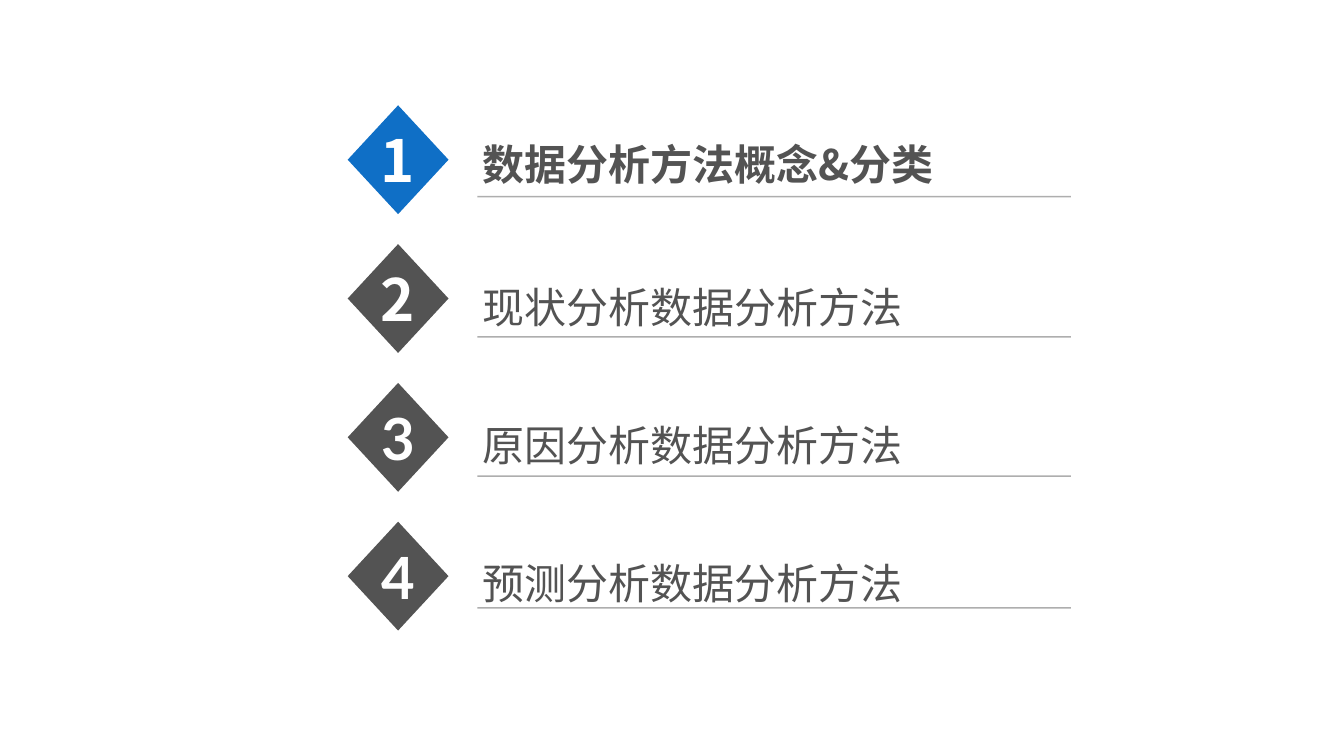
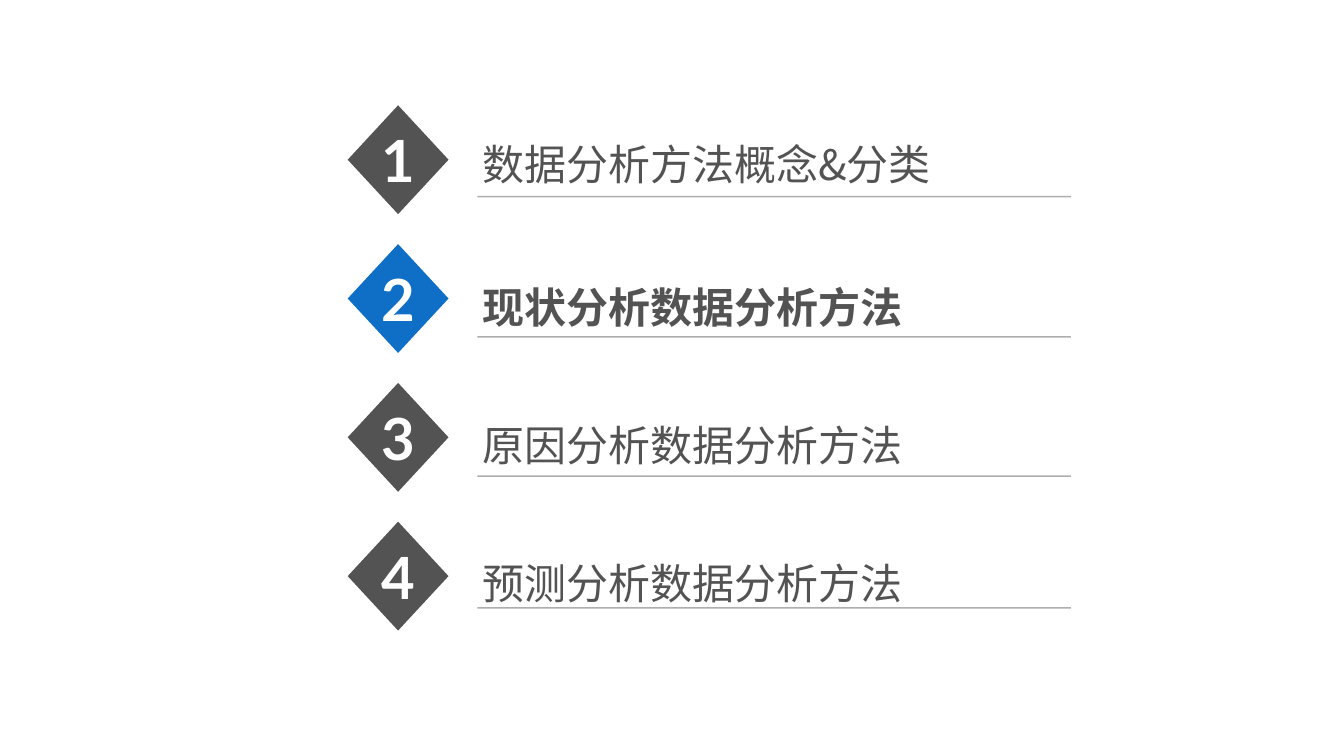
from dataclasses import dataclass

import lxml.etree
import pptx
import pptx.dml.color
import pptx.enum.dml
import pptx.enum.shapes
import pptx.enum.text
import pptx.oxml.ns
import pptx.util
from pptx.shapes.group import GroupShape
from pptx.slide import Slide
from pptx.text.text import TextFrame


@dataclass(frozen=True)
class Theme:
    accent: str = "0F6FC6"
    dark: str = "535353"
    rule: str = "5E5E5E"
    white: str = "FFFFFF"
    cjk_font: str = "Noto Sans CJK JP"
    number_font: str = "Lato"
    label_size: int = 60
    number_size: int = 83
    rule_width: int = 2
    rule_alpha: int = 50
    inset: float = 0.1


@dataclass(frozen=True)
class Chapter:
    title: str
    label_drop: float
    rule_drop: float


@dataclass(frozen=True)
class Agenda:
    current: int
    number_fonts: tuple[str, ...]


THEME = Theme()
WIDTH = pptx.util.Inches(26.67)
HEIGHT = pptx.util.Inches(15)

FIRST_ROW, ROW_PITCH = 13.93, 18.36
DIAMOND_LEFT, DIAMOND_WIDTH, DIAMOND_HEIGHT = 25.87, 7.5, 14.4
LABEL_LEFT, LABEL_WIDTH, LABEL_HEIGHT = 35.51, 44.09, 8.07
RULE_WIDTH = 44.17

CHAPTERS = (
    Chapter("数据分析方法概念&分类", 3.73, 12.07),
    Chapter("现状分析数据分析方法", 4.27, 12.27),
    Chapter("原因分析数据分析方法", 4.13, 12.33),
    Chapter("预测分析数据分析方法", 4.0, 11.4),
)
CJK, NUMERIC = THEME.cjk_font, THEME.number_font
AGENDAS = (
    Agenda(1, (CJK, CJK, NUMERIC, NUMERIC)),
    Agenda(2, (NUMERIC,) * 4),
)


def across(percent: float) -> int:
    return round(WIDTH * percent / 100)


def down(percent: float) -> int:
    return round(HEIGHT * percent / 100)


def rgb(value: str) -> pptx.dml.color.RGBColor:
    return pptx.dml.color.RGBColor.from_string(value)


def write(frame: TextFrame, text: str, size: int, face: str, color: str,
          bold: bool, align: pptx.enum.text.PP_ALIGN) -> None:
    inset = pptx.util.Inches(THEME.inset)
    frame.margin_left = frame.margin_right = inset
    frame.margin_top = frame.margin_bottom = inset
    frame.word_wrap = True
    para = frame.paragraphs[0]
    para.text = text
    para.alignment = align
    font = para.font
    font.size = pptx.util.Pt(size)
    font.bold = bold
    font.color.rgb = rgb(color)
    font.name = face
    defaults = para._p.pPr.find(pptx.oxml.ns.qn("a:defRPr"))
    lxml.etree.SubElement(defaults, pptx.oxml.ns.qn("a:ea"), typeface=face)


def draw_label(group: GroupShape, chapter: Chapter, top: float, bold: bool) -> None:
    box = group.shapes.add_textbox(
        across(LABEL_LEFT), down(top + chapter.label_drop),
        across(LABEL_WIDTH), down(LABEL_HEIGHT))
    write(box.text_frame, chapter.title, THEME.label_size, THEME.cjk_font,
          THEME.dark, bold, pptx.enum.text.PP_ALIGN.LEFT)
    box.text_frame.auto_size = pptx.enum.text.MSO_AUTO_SIZE.SHAPE_TO_FIT_TEXT


def draw_diamond(group: GroupShape, number: int, top: float, fill: str, face: str) -> None:
    diamond = group.shapes.add_shape(
        pptx.enum.shapes.MSO_SHAPE.DIAMOND, across(DIAMOND_LEFT), down(top),
        across(DIAMOND_WIDTH), down(DIAMOND_HEIGHT))
    diamond.shadow.inherit = False
    diamond.fill.solid()
    diamond.fill.fore_color.rgb = rgb(fill)
    diamond.line.fill.background()
    diamond.text_frame.vertical_anchor = pptx.enum.text.MSO_ANCHOR.MIDDLE
    write(diamond.text_frame, str(number), THEME.number_size, face,
          THEME.white, True, pptx.enum.text.PP_ALIGN.CENTER)


def draw_rule(group: GroupShape, top: float) -> None:
    rule = group.shapes.add_connector(
        pptx.enum.shapes.MSO_CONNECTOR.STRAIGHT, across(LABEL_LEFT), down(top),
        across(LABEL_LEFT + RULE_WIDTH), down(top))
    rule.line.width = pptx.util.Pt(THEME.rule_width)
    rule.line.dash_style = pptx.enum.dml.MSO_LINE.SOLID
    rule.line.color.rgb = rgb(THEME.rule)
    properties = rule._element.spPr
    color = properties.find(".//" + pptx.oxml.ns.qn("a:srgbClr"))
    lxml.etree.SubElement(color, pptx.oxml.ns.qn("a:alpha"),
                          val=str(THEME.rule_alpha * 1000))
    lxml.etree.SubElement(properties, pptx.oxml.ns.qn("a:effectLst"))


def draw_agenda(page: Slide, agenda: Agenda) -> None:
    page.background.fill.solid()
    page.background.fill.fore_color.rgb = rgb(THEME.white)
    rows = zip(CHAPTERS, agenda.number_fonts)
    for number, (chapter, face) in enumerate(rows, start=1):
        top = FIRST_ROW + (number - 1) * ROW_PITCH
        active = number == agenda.current
        group = page.shapes.add_group_shape()
        draw_label(group, chapter, top, active)
        draw_diamond(group, number, top, THEME.accent if active else THEME.dark, face)
        draw_rule(group, top + chapter.rule_drop)


def main() -> None:
    deck = pptx.Presentation()
    deck.slide_width, deck.slide_height = WIDTH, HEIGHT
    for agenda in AGENDAS:
        draw_agenda(deck.slides.add_slide(deck.slide_layouts[6]), agenda)
    deck.save("out.pptx")


if __name__ == "__main__":
    main()
